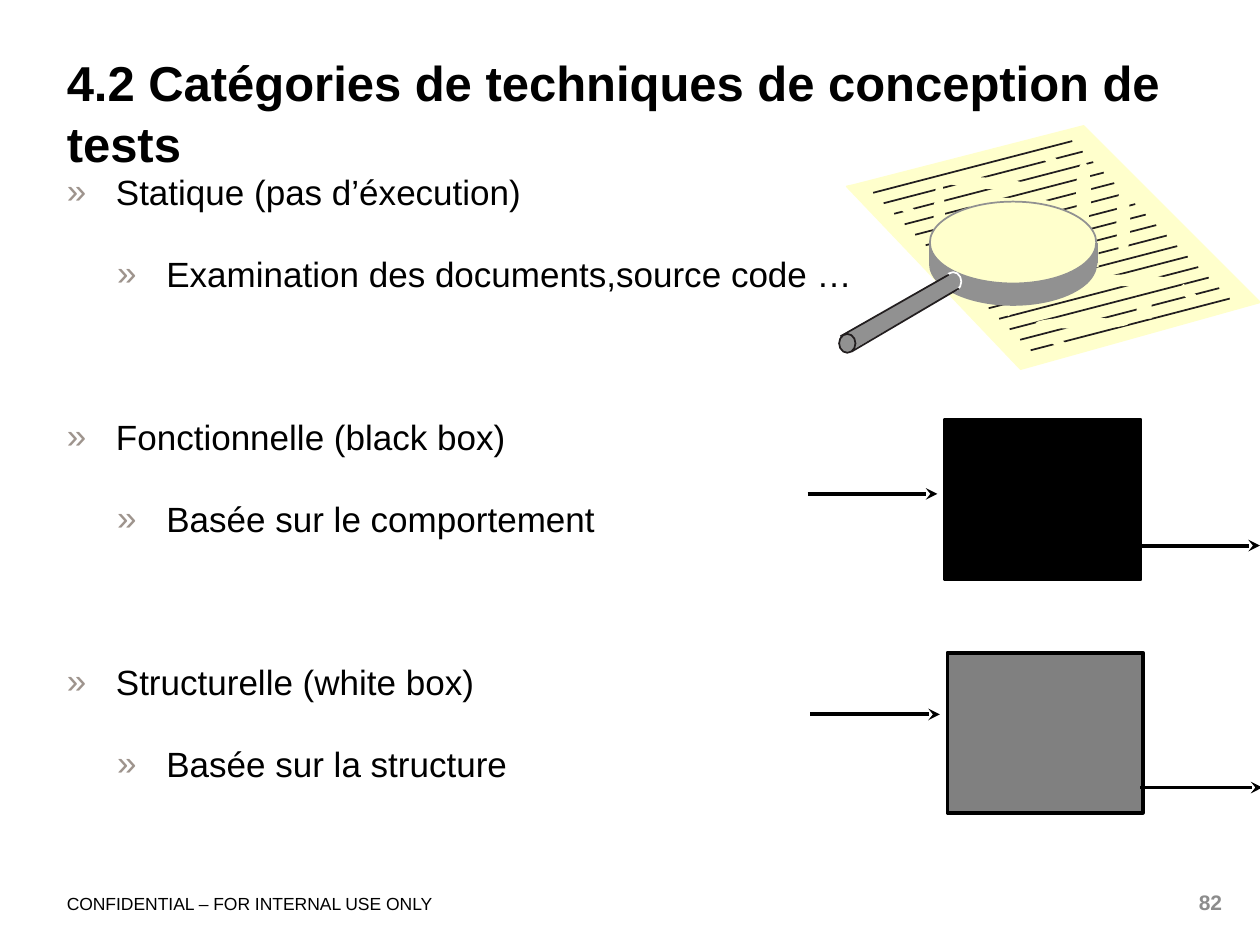
from lxml import etree
from pptx import Presentation
from pptx import util as u
from pptx.dml.color import RGBColor
from pptx.enum import shapes, text
from pptx.oxml.ns import qn

INK = {"black": "000000", "grey": "808080", "num": "8C8C8C", "mark": "9E948D",
       "paper": "FFFFCC", "lens": "919191", "pen": "221E1F", "white": "FFFFFF"}
RECT = shapes.MSO_SHAPE.RECTANGLE
OVAL = shapes.MSO_SHAPE.OVAL


class Page:
    """Holds the style, the current slide and the shape tree being drawn on."""
    face = "Arial"
    lead = 1.04

    def __init__(self, deck):
        self.slide = deck.slides.add_slide(deck.slide_layouts[1])
        self.tree = self.slide.shapes

    def group(self):
        self.tree = self.slide.shapes.add_group_shape().shapes

    def font(self, para, size, ink="black", bold=False):
        para.font.name, para.font.size, para.font.bold = self.face, u.Pt(size), bold
        para.font.color.rgb = RGBColor.from_string(INK[ink])

    def frame(self, box, at, top=0):
        box.left, box.top, box.width, box.height = map(u.Inches, at)
        body = box.text_frame
        body.auto_size = text.MSO_AUTO_SIZE.NONE
        body.word_wrap = True
        body.vertical_anchor = text.MSO_ANCHOR.TOP
        body.margin_left = body.margin_right = body.margin_bottom = 0
        body.margin_top = u.Inches(top)
        return body

    def title(self, at, words):
        para = self.frame(self.slide.shapes.title, at, 0.03).paragraphs[0]
        para.text = words
        para.alignment = text.PP_ALIGN.LEFT
        para.line_spacing = self.lead
        self.font(para, 28, bold=True)

    def bullets(self, at, rows, near, far):
        body = self.frame(self.slide.placeholders[1], at)
        for i, (level, words) in enumerate(rows):
            para = body.add_paragraph() if i else body.paragraphs[0]
            para.text, para.level = words, level
            props = para._p.get_or_add_pPr()
            props.set("marL", str(u.Inches(0.39 + 0.4 * level)))
            props.set("indent", str(u.Inches(-0.39)))
            tint = etree.SubElement(props, qn("a:buClr"))
            etree.SubElement(tint, qn("a:srgbClr"), val=INK["mark"])
            etree.SubElement(props, qn("a:buFont"), typeface=self.face)
            etree.SubElement(props, qn("a:buChar"), char="»")
            para.line_spacing = self.lead
            para.space_before = u.Pt(0 if i == 0 else near if level else far)
            self.font(para, 20)

    def label(self, at, words, size, ink="black", bold=False, right=False):
        box = self.tree.add_textbox(*map(u.Inches, at))
        para = self.frame(box, at).paragraphs[0]
        para.text = words
        para.alignment = text.PP_ALIGN.RIGHT if right else text.PP_ALIGN.LEFT
        self.font(para, size, ink, bold)

    def paint(self, item, fill, edge=None, width=1):
        item.shadow.inherit = False
        item.fill.solid()
        item.fill.fore_color.rgb = RGBColor.from_string(INK[fill])
        if edge:
            item.line.color.rgb = RGBColor.from_string(INK[edge])
            item.line.width = u.Pt(width)
        else:
            item.line.fill.background()

    def shape(self, kind, at, fill, edge=None, width=1, turn=0):
        item = self.tree.add_shape(kind, *map(u.Inches, at))
        item.rotation = turn
        self.paint(item, fill, edge, width)

    def outline(self, points, fill, edge=None):
        dots = [(u.Inches(x), u.Inches(y)) for x, y in points]
        pen = self.tree.build_freeform(*dots[0])
        pen.add_line_segments(dots[1:], close=True)
        self.paint(pen.convert_to_shape(), fill, edge)

    def line(self, ends, ink="pen", width=1, arrow=False):
        item = self.tree.add_connector(shapes.MSO_CONNECTOR.STRAIGHT,
                                       *map(u.Inches, ends))
        item.line.color.rgb = RGBColor.from_string(INK[ink])
        item.line.width = u.Pt(width)
        if arrow:
            etree.SubElement(item.line._get_or_add_ln(), qn("a:tailEnd"), type="stealth")
        etree.SubElement(item._element.spPr, qn("a:effectLst"))


def draw_boxes(page):
    # Each box has an arrow in on the left and one out on the right
    for left, top, fill, inlet, outlet, start in (
            (7.52, 5.18, "grey", 5.67, 6.25, 9.05),
            (7.5, 3.33, "black", 3.92, 4.33, 9.02)):
        page.shape(RECT, (left, top, 1.55, 1.27), fill, "black", 2.25)
        page.line((left - 1.09, inlet, left - 0.06, inlet), "black", 2.25, True)
        page.line((start, outlet, left + 2.5, outlet), "black", 2.25, True)


def draw_sheet(page):
    # Sheet with sixteen evenly stepped lines of writing
    page.outline([(6.77, 1.47), (8.6, 1), (10, 2.4), (8.1, 2.93), (6.72, 1.48)],
                 "paper", "paper")
    for i in range(16):
        step = i / 12
        page.line((6.93 + step, 1.53 + step, 8.51 + step, 1.12 + step))

    # Gaps that break the lines into words
    for x, y, turn in ((7.46, 1.41, 4), (7.63, 1.57, 0), (7.6, 1.91, 0),
                       (8.56, 2.18, 0), (8.22, 2.52, 0)):
        page.shape(OVAL, (x, y, 0.74, 0.09), "paper", turn=turn)
    for at in ((7.96, 1.77, 0.09, 0.74), (7.41, 1.41, 0.09, 0.74),
               (8.54, 1.28, 0.12, 0.51), (8.86, 1.48, 0.11, 0.57)):
        page.shape(OVAL, at, "paper")
    for x, y in ((8.16, 2.16), (9.02, 2.36), (8.6, 1.95)):
        page.shape(RECT, (x, y, 0.12, 0.17), "paper")
    for x, y in ((8.3, 1.18), (7.66, 1.68), (9.4, 2.25), (8.37, 2.64), (7.17, 1.58)):
        page.shape(RECT, (x, y, 0.07, 0.17), "paper", turn=311)


def draw_lens(page):
    # Rim and glass
    page.shape(OVAL, (7.38, 1.77, 1.32, 0.65), "lens", "lens")
    page.shape(RECT, (7.38, 1.93, 1.33, 0.17), "lens")
    page.shape(OVAL, (7.38, 1.6, 1.32, 0.65), "paper", "lens")
    for x in (7.38, 8.71):
        page.line((x, 1.93, x, 2.09), "lens")

    # Handle
    page.shape(OVAL, (7.5, 2.16, 0.13, 0.15), "lens", "white")
    page.outline([(6.7, 2.66), (7.52, 2.18), (7.59, 2.3), (6.76, 2.78)], "lens")
    page.line((7.53, 2.18, 6.67, 2.67))
    page.line((7.61, 2.29, 6.76, 2.79))
    page.shape(OVAL, (6.66, 2.65, 0.13, 0.15), "lens", "pen")


def main():
    deck = Presentation()
    deck.slide_width, deck.slide_height = u.Inches(10), u.Inches(7.5)
    page = Page(deck)

    # Text
    page.title((0.53, 0.37, 9.17, 0.59),
               "4.2 Catégories de techniques de conception de tests")
    page.bullets((0.53, 1.34, 9.17, 5.48), [
        (0, "Statique (pas d’éxecution)"),
        (1, "Examination des documents,source code …"),
        (0, "Fonctionnelle (black box)"),
        (1, "Basée sur le comportement"),
        (0, "Structurelle (white box)"),
        (1, "Basée sur la structure"),
    ], near=22, far=68)
    page.label((0.53, 7.09, 4.42, 0.2), "CONFIDENTIAL – FOR INTERNAL USE ONLY", 10)
    page.label((9.31, 7.06, 0.39, 0.2), "82", 12, "num", bold=True, right=True)

    # Drawings
    draw_boxes(page)
    page.group()
    draw_sheet(page)
    draw_lens(page)
    deck.save("out.pptx")


if __name__ == "__main__":
    main()
